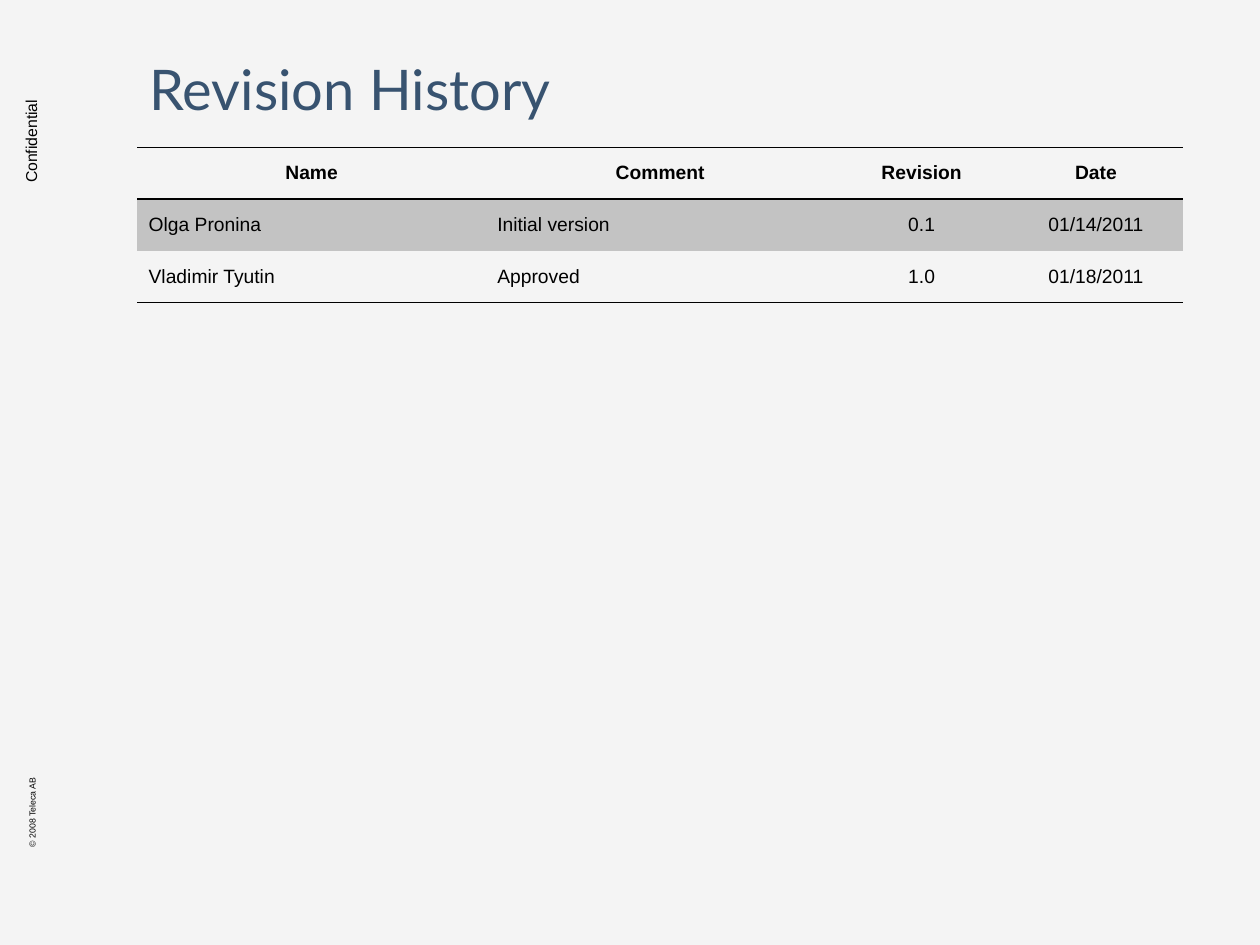
from lxml.etree import SubElement
from pptx import Presentation
from pptx.dml.color import RGBColor
from pptx.enum.text import MSO_ANCHOR, PP_ALIGN
from pptx.oxml.ns import qn
from pptx.util import Inches, Pt

# Content
TITLE = "Revision History"
HEADER = ("Name", "Comment", "Revision", "Date")
REVISIONS = [
    ("Olga Pronina", "Initial version", "0.1", "01/14/2011"),
    ("Vladimir Tyutin", "Approved", "1.0", "01/18/2011"),
]
# Side notes: text, size name, left, top, width, height
SIDE_NOTES = [
    ("Confidential", "note", -0.53, 0.65, 1.55, 0.25),
    ("© 2008 Teleca AB", "copyright", -0.21, 6.27, 0.93, 0.18),
]

THEME = {
    "background": RGBColor(0xF4, 0xF4, 0xF4),
    "band": RGBColor(0xC3, 0xC3, 0xC3),
    "title": RGBColor(0x38, 0x53, 0x70),
    "text": RGBColor(0, 0, 0),
    "heading_font": "Lato",
    "body_font": "Arial",
    "sizes": {"title": 32, "table": 11, "note": 9, "copyright": 5},
}

# Layout: column weights share the table width
SLIDE_W, SLIDE_H = 10, 7.5
LEFT, CONTENT_W = 1.09, 8.3
TITLE_TOP, TITLE_H = 0.32, 0.7
TABLE_TOP, ROW_H = 1.17, 0.41
WEIGHTS = (2, 2, 1, 1)
CENTRED_FROM = 2
NO_STYLE = "{2D5ABB26-0587-4C30-8999-92F81FD0307C}"


def style(p, size, font="body_font", color="text", bold=False):
    p.font.name = THEME[font]
    p.font.size = Pt(THEME["sizes"][size])
    p.font.color.rgb = THEME[color]
    p.font.bold = bold


def add_text(s, text, left, top, width, height):
    box = s.shapes.add_textbox(*map(Inches, (left, top, width, height)))
    box.text_frame.word_wrap = True
    box.text_frame.text = text
    return box, box.text_frame.paragraphs[0]


def set_borders(cell, ruled_sides):
    tc_pr = cell._tc.get_or_add_tcPr()
    for side in "LRTB":
        ln = SubElement(tc_pr, qn(f"a:ln{side}"), w=str(Pt(1)))
        if side in ruled_sides:
            fill = SubElement(ln, qn("a:solidFill"))
            SubElement(fill, qn("a:srgbClr"), val=str(THEME["text"]))
        else:
            SubElement(ln, qn("a:noFill"))


prs = Presentation()
prs.slide_width, prs.slide_height = Inches(SLIDE_W), Inches(SLIDE_H)
s = prs.slides.add_slide(prs.slide_layouts[6])
s.background.fill.solid()
s.background.fill.fore_color.rgb = THEME["background"]

# Rotated side notes
for text, size, *place in SIDE_NOTES:
    box, p = add_text(s, text, *place)
    box.rotation = 270
    style(p, size)

# Title
box, p = add_text(s, TITLE, LEFT, TITLE_TOP, CONTENT_W, TITLE_H)
box.text_frame.vertical_anchor = MSO_ANCHOR.BOTTOM
p.line_spacing = 0.9
style(p, "title", "heading_font", "title")

# Revision table
rows = [HEADER, *REVISIONS]
frame = s.shapes.add_table(
    len(rows), len(HEADER), Inches(LEFT), Inches(TABLE_TOP),
    Inches(CONTENT_W), Inches(ROW_H * len(rows)))
table = frame.table
table._tbl.tblPr.find(qn("a:tableStyleId")).text = NO_STYLE
table.horz_banding = False
for column, weight in zip(table.columns, WEIGHTS):
    column.width = Inches(CONTENT_W * weight / sum(WEIGHTS))

# Rules above and below the header, and below the last row
ruled = {0: "TB", 1: "T", len(rows) - 1: "B"}
for r, row in enumerate(rows):
    table.rows[r].height = Inches(ROW_H)
    for c, text in enumerate(row):
        cell = table.cell(r, c)
        cell.text = text
        cell.vertical_anchor = MSO_ANCHOR.MIDDLE
        cell.margin_left = cell.margin_right = Inches(0.09)
        cell.margin_top = cell.margin_bottom = Inches(0.05)
        p = cell.text_frame.paragraphs[0]
        centred = r == 0 or c >= CENTRED_FROM
        p.alignment = PP_ALIGN.CENTER if centred else PP_ALIGN.LEFT
        style(p, "table", bold=r == 0)
        set_borders(cell, ruled.get(r, ""))
        if r % 2:
            cell.fill.solid()
            cell.fill.fore_color.rgb = THEME["band"]
        else:
            cell.fill.background()

prs.save("out.pptx")
